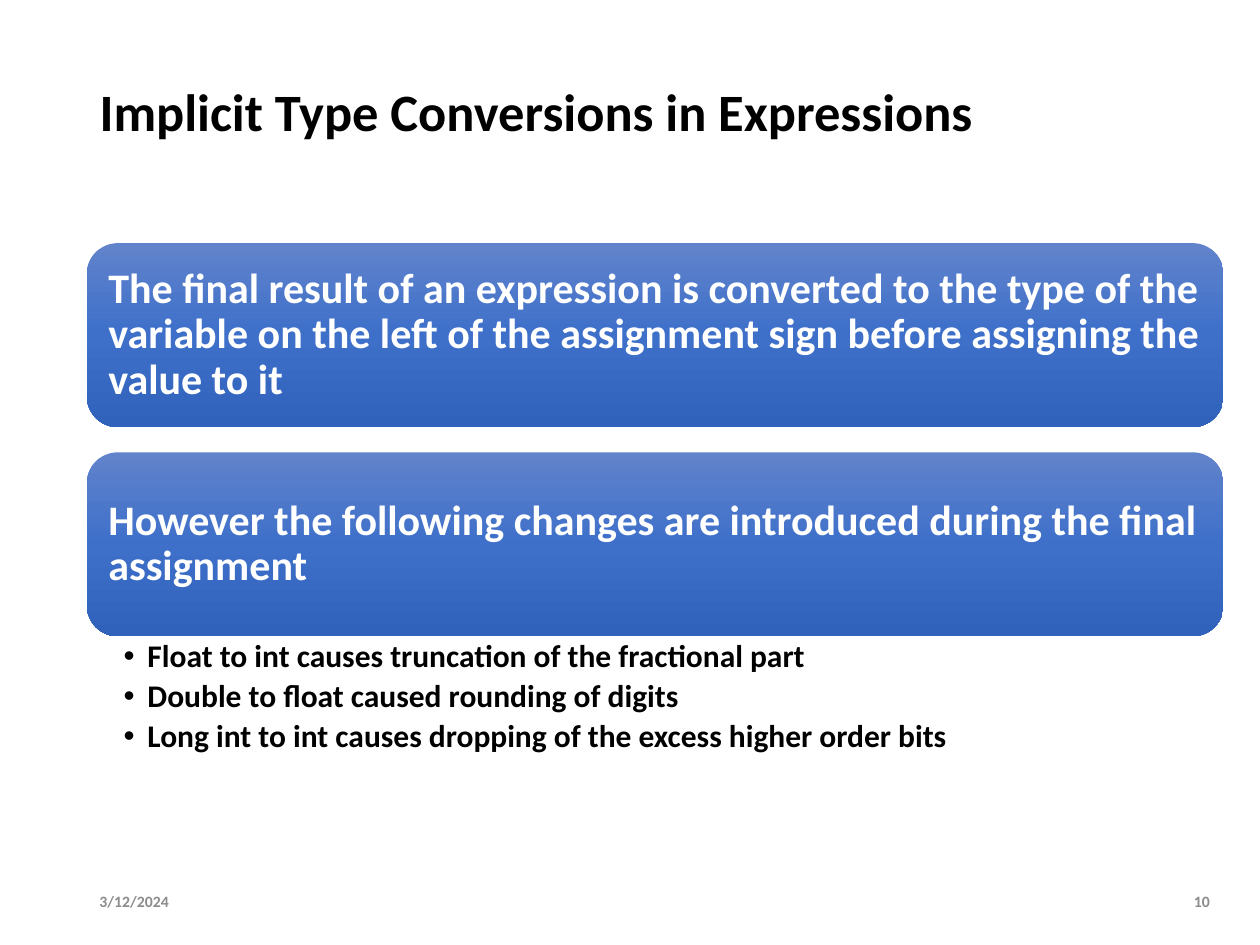
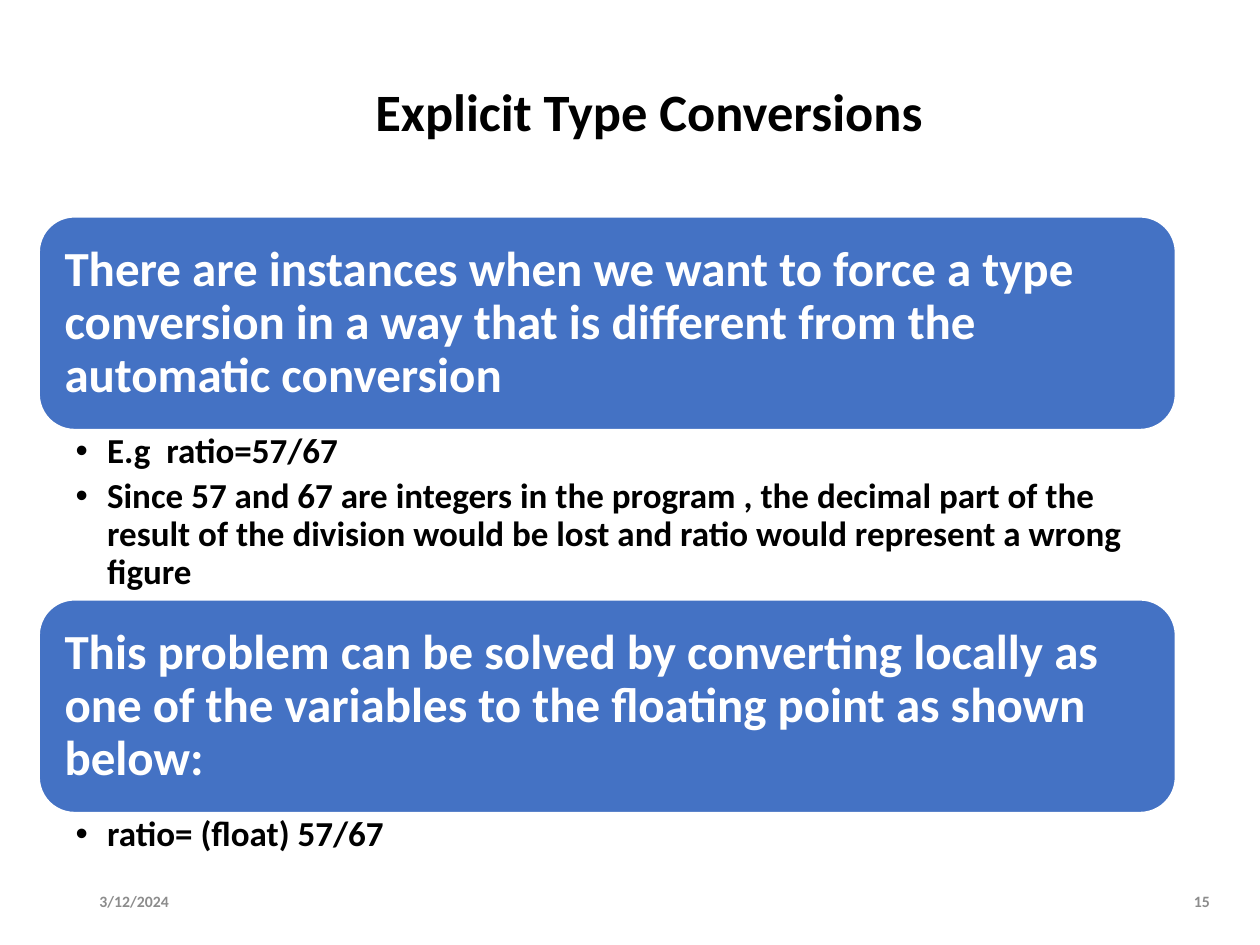
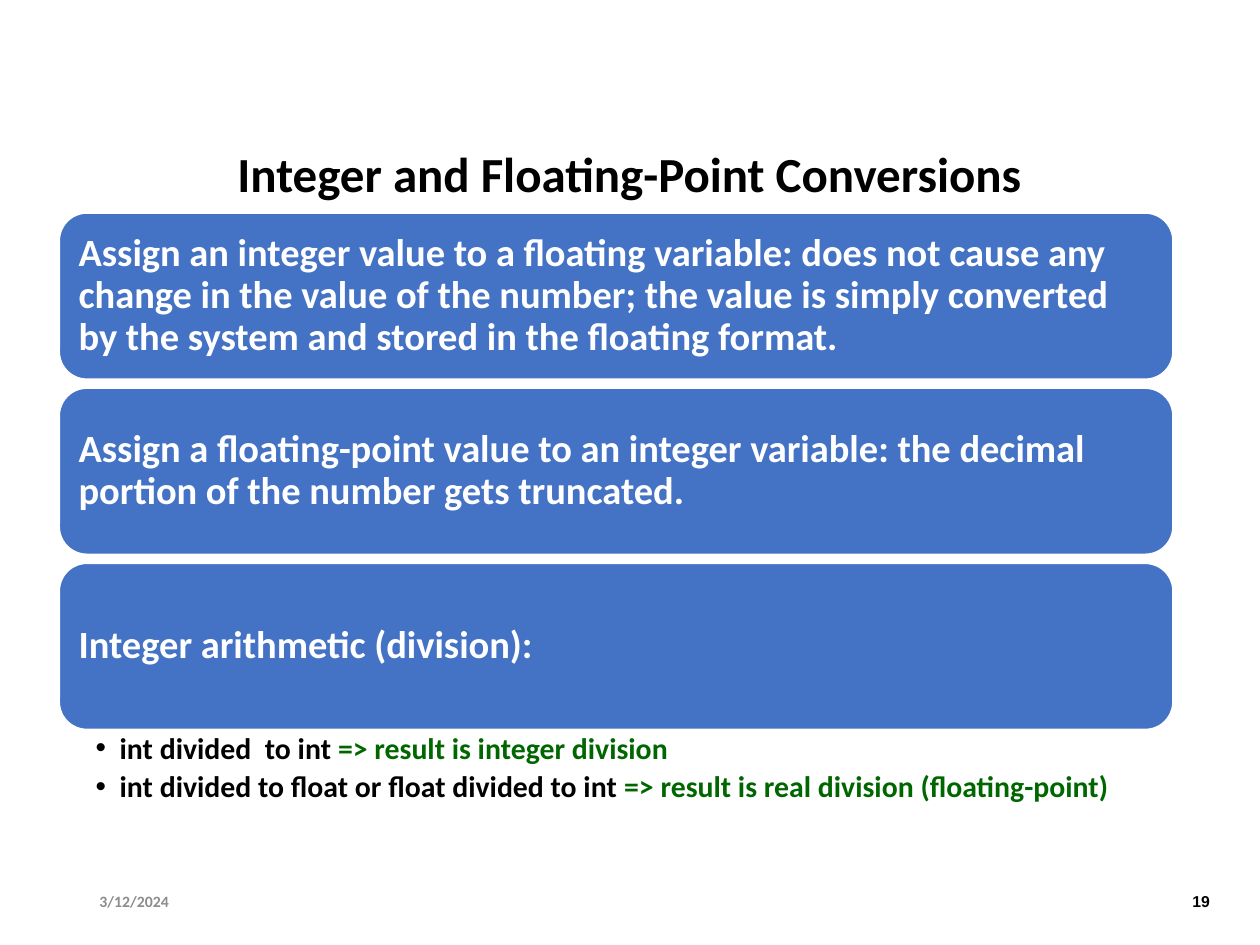
from copy import deepcopy

from lxml.etree import SubElement
from pptx import Presentation
from pptx.dml.color import RGBColor
from pptx.enum.shapes import MSO_SHAPE
from pptx.enum.text import MSO_ANCHOR, MSO_AUTO_SIZE, PP_ALIGN
from pptx.oxml.ns import qn
from pptx.util import Inches, Pt

COLOURS = {
    "text": "000000",
    "footer": "8C8C8C",
    "banner": "4472C4",
    "on_banner": "FFFFFF",
    "result": "006600",
    "gradient_top": "6183CB",
    "gradient_middle": "3E70CA",
    "gradient_bottom": "3062BB",
}
TITLE_ONLY = 5
DATE = "3/12/2024"


class SlideWriter:
    """Holds the deck style, the current slide and the height reached on it."""

    def __init__(self):
        self.deck = Presentation()
        self.deck.slide_width, self.deck.slide_height = Inches(10), Inches(7.5)

    def colour(self, name):
        return RGBColor.from_string(COLOURS[name])

    def add_span(self, para, text, size, colour="text", font="Calibri"):
        span = para.add_run()
        span.text = text
        span.font.name, span.font.size, span.font.bold = font, Pt(size), True
        span.font.color.rgb = self.colour(colour)

    def set_frame(self, box, anchor, insets=(0.1, 0.05, 0.1, 0.05)):
        frame = box.text_frame
        frame.word_wrap, frame.auto_size = True, MSO_AUTO_SIZE.NONE
        frame.vertical_anchor = anchor
        (frame.margin_left, frame.margin_top,
         frame.margin_right, frame.margin_bottom) = map(Inches, insets)
        return frame

    # Slide with title and footer
    def start_slide(self, title, number, place=(0.69, 0.56, 9.02, 0.69), size=30,
                    align=PP_ALIGN.CENTER, number_colour="footer", number_font="Calibri"):
        self.page = self.deck.slides.add_slide(self.deck.slide_layouts[TITLE_ONLY])
        box = self.page.shapes.title
        box.left, box.top, box.width, box.height = map(Inches, place)
        para = self.set_frame(box, MSO_ANCHOR.MIDDLE).paragraphs[0]
        para.alignment, para.line_spacing = align, 0.9
        self.add_span(para, title, size)
        self.add_footer(DATE, 0.69, 0.95, PP_ALIGN.LEFT)
        self.add_footer(number, 9.31, 0.39, PP_ALIGN.RIGHT, number_colour, number_font)

    def add_footer(self, text, left, width, align, colour="footer", font="Calibri"):
        box = self.page.shapes.add_textbox(Inches(left), Inches(6.95), Inches(width), Inches(0.4))
        para = self.set_frame(box, MSO_ANCHOR.MIDDLE).paragraphs[0]
        para.alignment = align
        self.add_span(para, text, 9, colour, font)

    # Stack of banners and bullet lists, each placed below the last
    def start_stack(self, left, top, width):
        self.left, self.top, self.width = left, top, width

    def next_place(self, height):
        place = [Inches(n) for n in (self.left, self.top, self.width, height)]
        self.top += height
        return place

    def add_banner(self, text, height, size, inset, gap_before=0, gradient=False):
        self.top += gap_before
        box = self.page.shapes.add_shape(MSO_SHAPE.ROUNDED_RECTANGLE, *self.next_place(height))
        box.shadow.inherit = False
        if gradient:
            self.fill_gradient(box)
            box.line.fill.background()
        else:
            box.fill.solid()
            box.fill.fore_color.rgb = self.colour("banner")
            box.line.color.rgb = self.colour("on_banner")
            box.line.width = Pt(1)
        para = self.set_frame(box, MSO_ANCHOR.MIDDLE, [inset] * 4).paragraphs[0]
        para.alignment, para.line_spacing = PP_ALIGN.LEFT, 0.9
        para.space_after = Pt(0.35 * size)
        self.add_span(para, text, size, "on_banner")

    def fill_gradient(self, box):
        box.fill.gradient()
        box.fill.gradient_angle = 270
        stop_list = box._element.spPr.find(qn("a:gradFill")).find(qn("a:gsLst"))
        stop_list.insert(1, deepcopy(stop_list[0]))
        for stop, part, name in zip(box.fill.gradient_stops, (0, 0.5, 1),
                                    ("gradient_top", "gradient_middle", "gradient_bottom")):
            stop.position = part
            stop.color.rgb = self.colour(name)

    def add_bullets(self, items, height, size, indent, right_inset):
        """Each item is a list of (text, colour) spans."""
        box = self.page.shapes.add_textbox(*self.next_place(height))
        frame = self.set_frame(box, MSO_ANCHOR.TOP, (0.29, 0.03, right_inset, 0.03))
        for index, spans in enumerate(items):
            para = frame.add_paragraph() if index else frame.paragraphs[0]
            para.level, para.line_spacing = 1, 0.9
            para.space_after = Pt(0.2 * size)
            properties = para._p.get_or_add_pPr()
            properties.set("marL", str(Inches(indent)))
            properties.set("indent", str(-Inches(indent)))
            SubElement(properties, qn("a:buFont"), typeface="Arial")
            SubElement(properties, qn("a:buChar"), char="•")
            for text, colour in spans:
                self.add_span(para, text, size, colour)


def add_implicit_slide(writer):
    writer.start_slide("Implicit Type Conversions in Expressions", "10", align=PP_ALIGN.LEFT)
    writer.start_stack(0.69, 1.93, 9.02)
    banner = {"height": 1.46, "size": 24, "inset": 0.1, "gradient": True}
    writer.add_banner("The final result of an expression is converted to the type of the variable "
                      "on the left of the assignment sign before assigning the value to it", **banner)
    writer.add_banner("However the following changes are introduced during the final assignment",
                      gap_before=0.2, **banner)
    changes = ["Float to int causes truncation of the fractional part",
               "Double to float caused rounding of digits",
               "Long int to int causes dropping of the excess higher order bits"]
    writer.add_bullets([[(change, "text")] for change in changes], 1.18, 18, 0.19, 0.14)


def add_explicit_slide(writer):
    writer.start_slide("Explicit Type Conversions ", "15")
    writer.start_stack(0.31, 1.72, 9.02)
    banner = {"height": 1.69, "size": 28, "inset": 0.12}
    bullets = {"size": 20, "indent": 0.25, "right_inset": 0.16}
    writer.add_banner("There are instances when we want to force a type conversion in a way "
                      "that is different from the automatic conversion", **banner)
    writer.add_bullets([[("E.g  ratio=57/67", "text")],
                        [("Since 57 and 67 are integers in the program , the decimal part of the "
                          "result of the division would be lost and ratio would represent a wrong "
                          "figure", "text")]], 1.35, **bullets)
    writer.add_banner("This problem can be solved by converting locally as one of the variables "
                      "to the floating point as shown below:", **banner)
    writer.add_bullets([[("ratio= (float) 57/67", "text")]], 0.49, **bullets)


def add_integer_slide(writer):
    writer.start_slide("Integer and Floating-Point Conversions", "19", (1.37, 1.12, 7.25, 0.56), 28,
                       number_colour="text", number_font="Arial")
    writer.start_stack(0.47, 1.69, 8.84)
    rules = ["Assign an integer value to a floating variable: does not cause any change in the "
             "value of the number; the value is simply converted by the system and stored in the "
             "floating format.",
             "Assign a floating-point value to an integer variable: the decimal portion of the "
             "number gets truncated.",
             "Integer arithmetic (division):"]
    for index, rule in enumerate(rules):
        writer.add_banner(rule, 1.32, 22, 0.09, gap_before=0.07 if index else 0)
    divisions = [("int divided  to int ", "=> result is integer division"),
                 ("int divided to float or float divided to int ",
                  "=> result is real division (floating-point)")]
    writer.add_bullets([[(case, "text"), (result, "result")] for case, result in divisions],
                       0.65, 17, 0.19, 0.17)


def main():
    writer = SlideWriter()
    add_implicit_slide(writer)
    add_explicit_slide(writer)
    add_integer_slide(writer)
    writer.deck.save("out.pptx")


if __name__ == "__main__":
    main()
